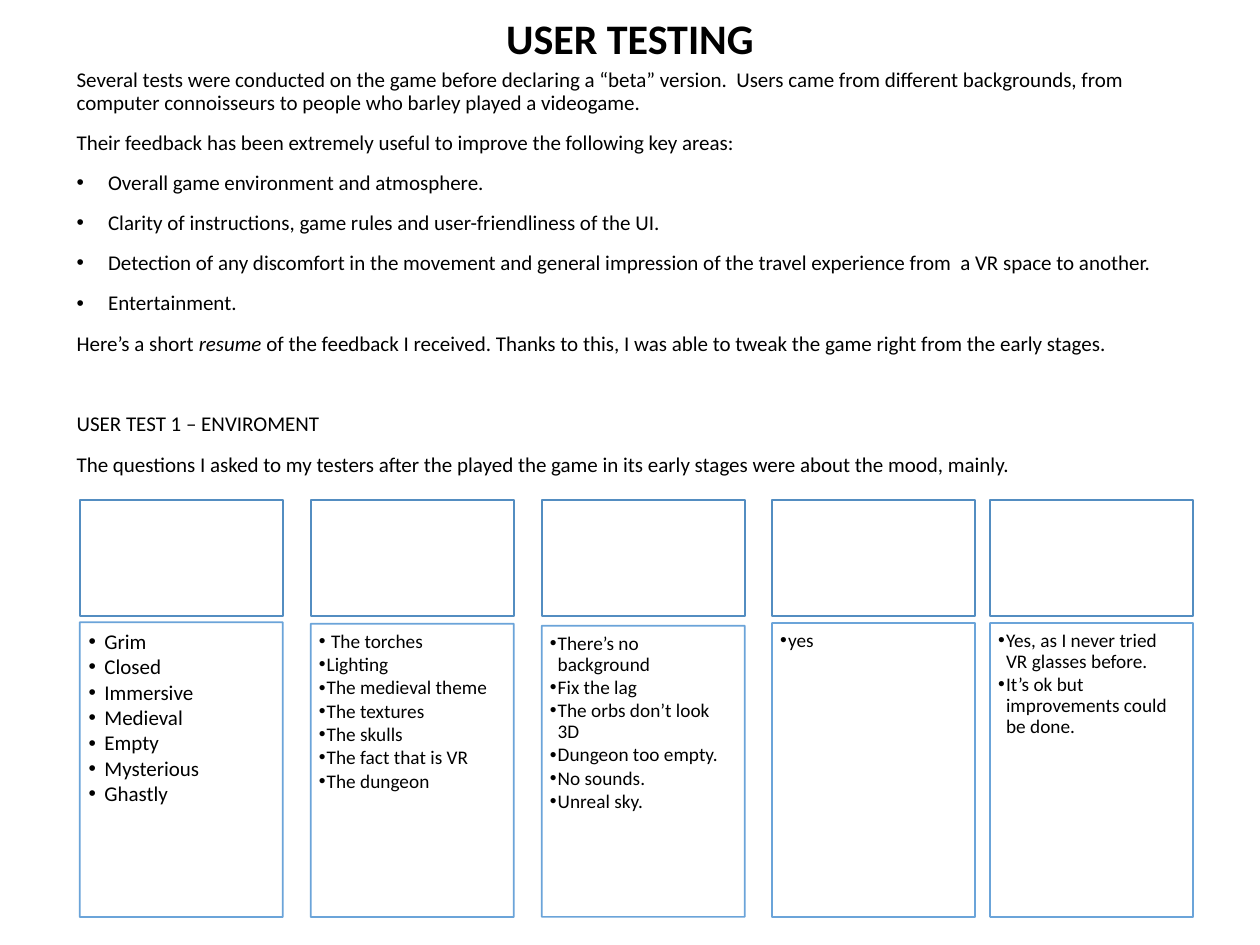
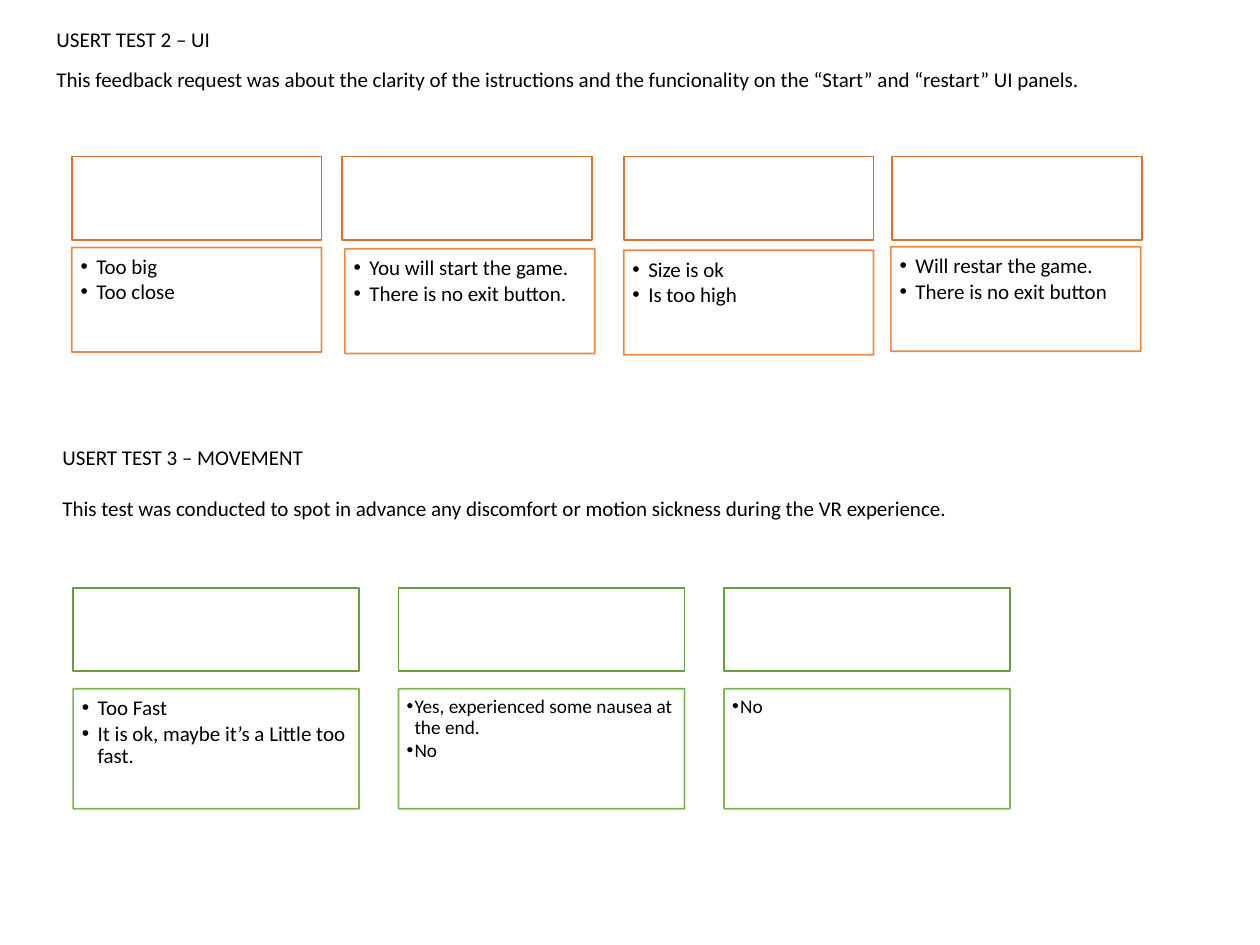
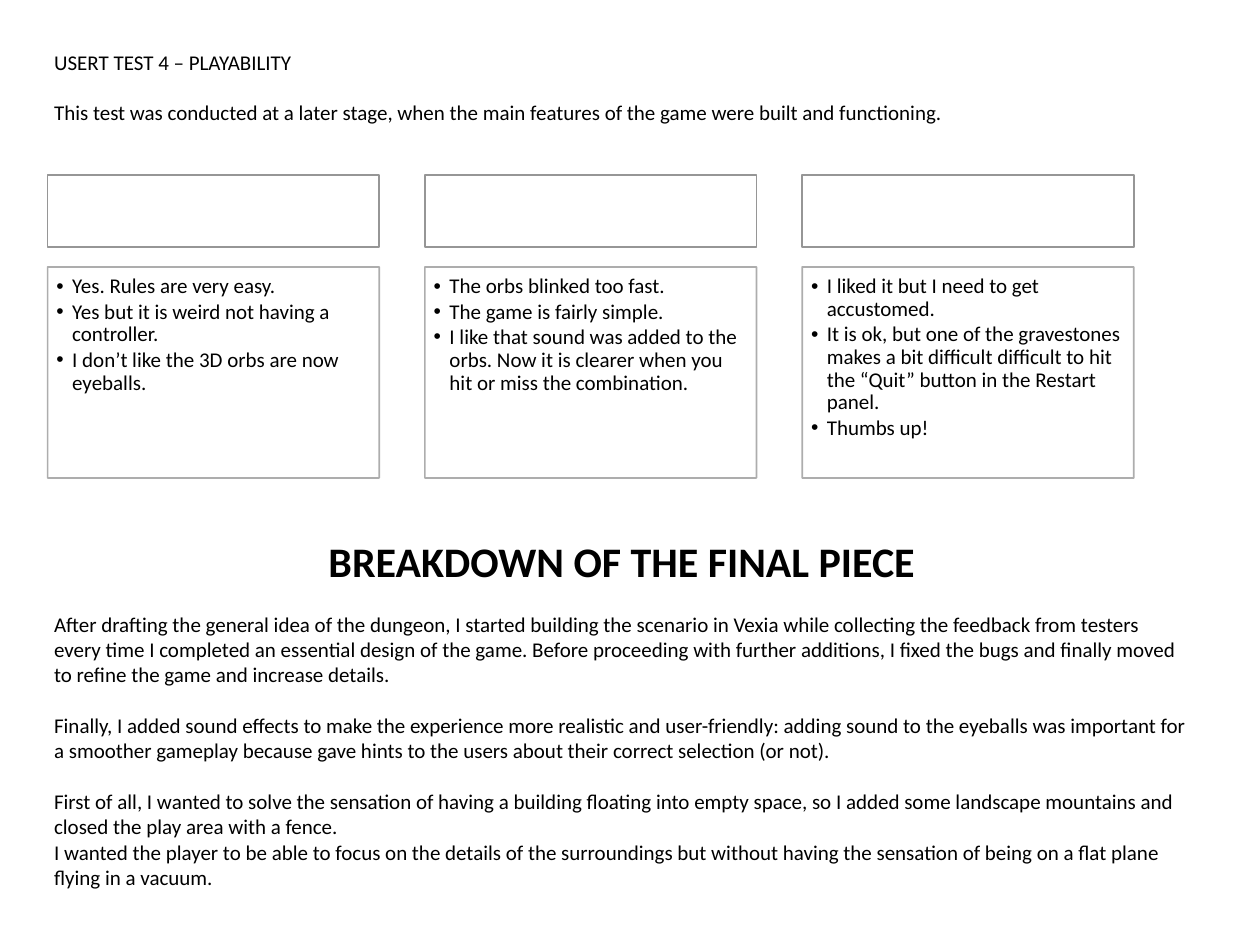
from dataclasses import dataclass

from lxml import etree
from pptx import Presentation
from pptx.dml.color import RGBColor
from pptx.enum.shapes import MSO_SHAPE
from pptx.enum.text import MSO_ANCHOR, PP_ALIGN
from pptx.oxml.ns import qn
from pptx.util import Pt

RECT = MSO_SHAPE.RECTANGLE
TOP, MIDDLE = MSO_ANCHOR.TOP, MSO_ANCHOR.MIDDLE
LEFT, CENTER = PP_ALIGN.LEFT, PP_ALIGN.CENTER

FONT = "Calibri"
BLACK = RGBColor(0x00, 0x00, 0x00)
WHITE = RGBColor(0xFF, 0xFF, 0xFF)
# Line colours of a panel: question boxes, answer boxes
BLUE = RGBColor(0x53, 0x8D, 0xC1), RGBColor(0x5B, 0x9B, 0xD5)
ORANGE = RGBColor(0xD7, 0x71, 0x2C), RGBColor(0xED, 0x7D, 0x31)
GREEN = RGBColor(0x66, 0x9D, 0x40), RGBColor(0x70, 0xAD, 0x47)
GREY = RGBColor(0x96, 0x96, 0x96), RGBColor(0xA5, 0xA5, 0xA5)
ANSWER_ALPHA = 90

BODY, HEADING = 12, 24
TIGHT = 0.9
GAP = 10           # between body paragraphs
LINE = 14.65       # height of one 12 pt line
BOX_INSETS = 7.2, 3.6, 7.2, 3.6
# Answer text size: insets and bullet indent
ANSWER_STYLES = {12: ((5.04, 5.04, 6.72, 7.56), 9),
                 11: ((4.62, 4.62, 6.2, 6.93), 4.5)}


@dataclass
class Para:
    runs: list | str
    before: float = 0
    after: float = 0
    size: float = BODY
    bold: bool = False
    align: PP_ALIGN = LEFT
    indent: float = 0
    spacing: float = 1


@dataclass
class Column:
    left: float
    top: float         # of the answer box
    size: int
    answers: list
    shift: float = 0   # of the answer box against its question box


@dataclass
class Panel:
    colors: tuple
    top: float
    width: float
    height: float
    answer_height: float
    columns: list


def body(runs, before=GAP, indent=0):
    return Para(runs, before=before, indent=indent, spacing=TIGHT)


def even_columns(left, pitch, top, content):
    return [Column(left + i * pitch, top, size, answers)
            for i, (size, answers) in enumerate(content)]


def heading(text, spacing=1):
    return Para(text, size=HEADING, bold=True, align=CENTER, spacing=spacing)


def test_intro(title, text):
    return [Para(title), Para(text, before=LINE)]


AREAS = [
    "Overall game environment and atmosphere.",
    "Clarity of instructions, game rules and user-friendliness of the UI.",
    "Detection of any discomfort in the movement and general impression of the travel "
    "experience from  a VR space to another.",
    "Entertainment.",
]

TESTING_INTRO = [
    body("Several tests were conducted on the game before declaring a “beta” version.  Users "
         "came from different backgrounds, from computer connoisseurs to people who barley "
         "played a videogame.", before=0),
    body("Their feedback has been extremely useful to improve the following key areas:"),
    *[body(area, indent=18) for area in AREAS],
    body([("Here’s a short ", False), ("resume", True),
          (" of the feedback I received. Thanks to this, I was able to tweak the game right "
           "from the early stages.", False)]),
    body("USER TEST 1 – ENVIROMENT", before=33.2),
    body("The questions I asked to my testers after the played the game in its early stages "
         "were about the mood, mainly."),
]

UI_INTRO = [
    body("USERT TEST 2 – UI", before=0),
    body("This feedback request was about the clarity of the istructions and the funcionality "
         "on the “Start” and “restart” UI panels."),
]

MOVEMENT_INTRO = test_intro(
    "USERT TEST 3 – MOVEMENT",
    "This test was conducted to spot in advance any discomfort or motion sickness during "
    "the VR experience.")

PLAYABILITY_INTRO = test_intro(
    "USERT TEST 4 – PLAYABILITY",
    "This test was conducted at a later stage, when the main features of the game were "
    "built and functioning.")

BREAKDOWN = [
    heading("BREAKDOWN OF THE FINAL PIECE"),
    Para("After drafting the general idea of the dungeon, I started building the scenario in "
         "Vexia while collecting the feedback from testers every time I completed an essential "
         "design of the game. Before proceeding with further additions, I fixed the bugs and "
         "finally moved to refine the game and increase details.", before=LINE),
    Para("Finally, I added sound effects to make the experience more realistic and "
         "user-friendly: adding sound to the eyeballs was important for a smoother gameplay "
         "because gave hints to the users about their correct selection (or not).",
         before=LINE),
    Para("First of all, I wanted to solve the sensation of having a building floating into "
         "empty space, so I added some landscape mountains and closed the play area with a "
         "fence.", before=LINE),
    Para("I wanted the player to be able to focus on the details of the surroundings but "
         "without having the sensation of being on a flat plane flying in a vacuum."),
]

ENVIRONMENT = Panel(BLUE, 285.8, 116, 66.2, 168, [
    Column(45.6, 355.6, 12, ["Grim", "Closed", "Immersive", "Medieval", "Empty",
                             "Mysterious", "Ghastly"]),
    Column(177.6, 356.4, 11, [" The torches", "Lighting", "The medieval theme",
                              "The textures", "The skulls", "The fact that is VR",
                              "The dungeon"]),
    Column(309.6, 357.6, 11, ["There’s no background", "Fix the lag",
                              "The orbs don’t look 3D", "Dungeon too empty.", "No sounds.",
                              "Unreal sky."]),
    Column(441.2, 356, 11, ["yes"]),
    Column(565.8, 356, 11, ["Yes, as I never tried VR glasses before.",
                            "It’s ok but improvements could be done."]),
])
ENVIRONMENT_BOTTOM = 524

UI = Panel(ORANGE, 89.4, 142.8, 47.6, 59.8, [
    Column(41, 141.4, 12, ["Too big", "Too close"]),
    Column(195.5, 142.2, 12, ["You will start the game.", "There is no exit button."], 1.6),
    Column(356.4, 143, 12, ["Size is ok", "Is too high"]),
    Column(509.8, 141, 12, ["Will restar the game.", "There is no exit button"], -0.7),
])

MOVEMENT = Panel(GREEN, 336, 163.4, 47.5, 68.5, even_columns(41.8, 186, 393.6, [
    (12, ["Too Fast", "It is ok, maybe it’s a Little too fast."]),
    (11, ["Yes, experienced some nausea at the end.", "No"]),
    (11, ["No"]),
]))

PLAYABILITY = Panel(GREY, 100.2, 189.5, 41, 120.6, even_columns(27.2, 215.6, 152.5, [
    (12, ["Yes. Rules are very easy.",
          "Yes but it is weird not having a controller.",
          "I don’t like the 3D orbs are now eyeballs."]),
    (12, ["The orbs blinked too fast.",
          "The game is fairly simple.",
          "I like that sound was added to the orbs. Now it is clearer when you hit or miss "
          "the combination."]),
    (12, ["I liked it but I need to get accustomed.",
          "It is ok, but one of the gravestones makes a bit difficult difficult to hit the "
          "“Quit” button in the Restart panel.",
          "Thumbs up!"]),
]))


def add_bullet(p, indent):
    pPr = p._p.get_or_add_pPr()
    pPr.set("marL", str(Pt(indent)))
    pPr.set("indent", str(-Pt(indent)))
    etree.SubElement(pPr, qn("a:buFont"), typeface="Arial")
    etree.SubElement(pPr, qn("a:buChar"), char="•")


def write(tf, paras, insets=BOX_INSETS, anchor=TOP):
    tf.word_wrap = True
    tf.vertical_anchor = anchor
    tf.margin_left, tf.margin_top, tf.margin_right, tf.margin_bottom = map(Pt, insets)
    for i, para in enumerate(paras):
        p = tf.add_paragraph() if i else tf.paragraphs[0]
        if para.indent:
            add_bullet(p, para.indent)
        p.alignment = para.align
        p.line_spacing = para.spacing
        p.space_before, p.space_after = Pt(para.before), Pt(para.after)
        runs = [(para.runs, False)] if isinstance(para.runs, str) else para.runs
        for text, italic in runs:
            r = p.add_run()
            r.text = text
            r.font.name, r.font.size = FONT, Pt(para.size)
            r.font.bold, r.font.italic = para.bold, italic
            r.font.color.rgb = BLACK


def add_text(slide, box, paras, anchor=TOP):
    write(slide.shapes.add_textbox(*map(Pt, box)).text_frame, paras, anchor=anchor)


def add_box(slide, box, color):
    sp = slide.shapes.add_shape(RECT, *map(Pt, box))
    sp.shadow.inherit = False
    sp.fill.solid()
    sp.fill.fore_color.rgb = WHITE
    sp.line.color.rgb = color
    sp.line.width = Pt(1)
    return sp


def add_panel(slide, panel, bottom=None):
    """Draw empty question boxes over answer boxes; bottom aligns the answers' lower edges."""
    question_color, answer_color = panel.colors
    for col in panel.columns:
        add_box(slide, (col.left, panel.top, panel.width, panel.height), question_color)
        height = bottom - col.top if bottom else panel.answer_height
        sp = add_box(slide, (col.left + col.shift, col.top, panel.width, height), answer_color)
        for clr in sp._element.spPr.iter(qn("a:srgbClr")):
            etree.SubElement(clr, qn("a:alpha"), val=str(ANSWER_ALPHA * 1000))
        insets, indent = ANSWER_STYLES[col.size]
        paras = [Para(text, after=round(0.13 * col.size, 2), size=col.size, indent=indent,
                      spacing=TIGHT) for text in col.answers]
        write(sp.text_frame, paras, insets)


def main():
    prs = Presentation()
    prs.slide_width, prs.slide_height = Pt(720), Pt(540)
    environment, ui_movement, final = [
        prs.slides.add_slide(prs.slide_layouts[6]) for _ in range(3)]

    add_text(environment, (49.5, 9.4, 621, 27.4), [heading("USER TESTING", TIGHT)], MIDDLE)
    add_text(environment, (36.7, 36, 662.4, 489), TESTING_INTRO)
    add_panel(environment, ENVIRONMENT, ENVIRONMENT_BOTTOM)

    add_text(ui_movement, (25.2, 13, 669.6, 509), UI_INTRO)
    add_panel(ui_movement, UI)
    add_panel(ui_movement, MOVEMENT)
    add_text(ui_movement, (28.6, 250.6, 624, 51), MOVEMENT_INTRO)

    add_panel(final, PLAYABILITY)
    add_text(final, (23.8, 24.5, 624, 51), PLAYABILITY_INTRO)
    add_text(final, (23.8, 302.4, 663, 211), BREAKDOWN)

    prs.save("out.pptx")


if __name__ == "__main__":
    main()
